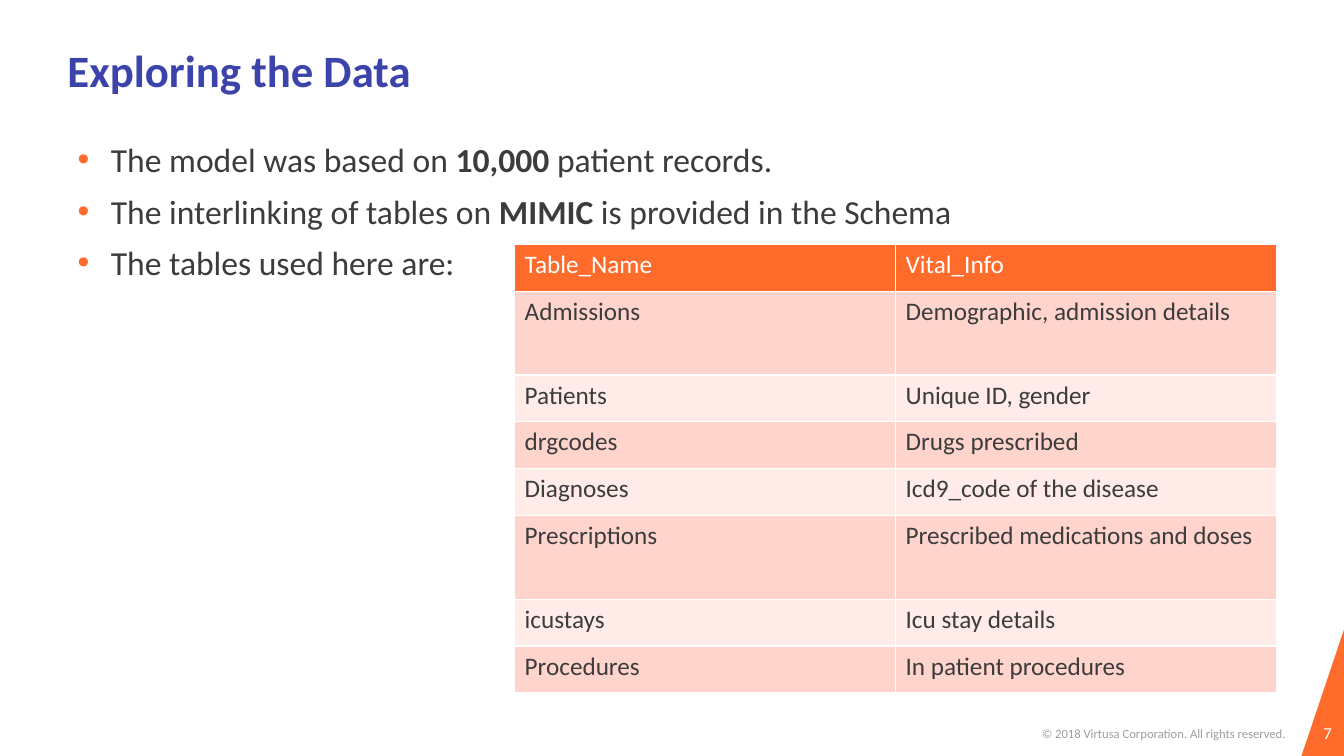
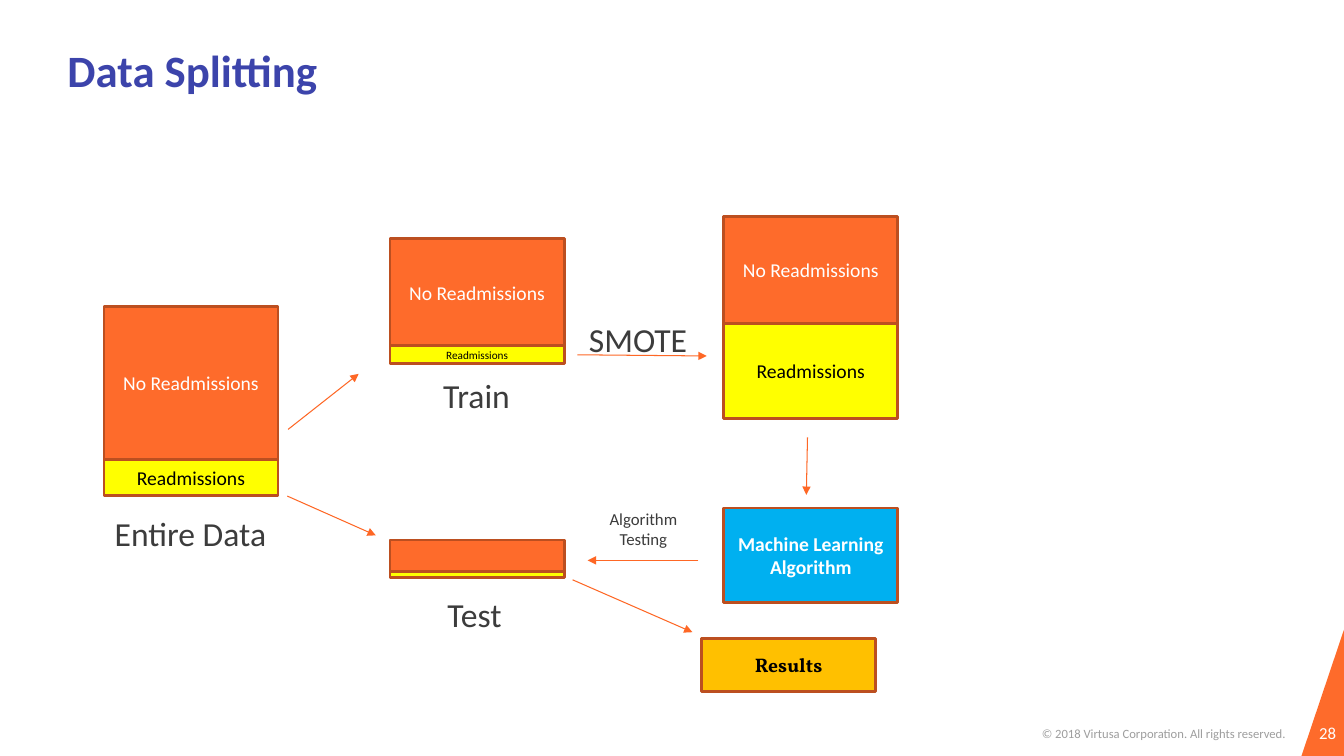
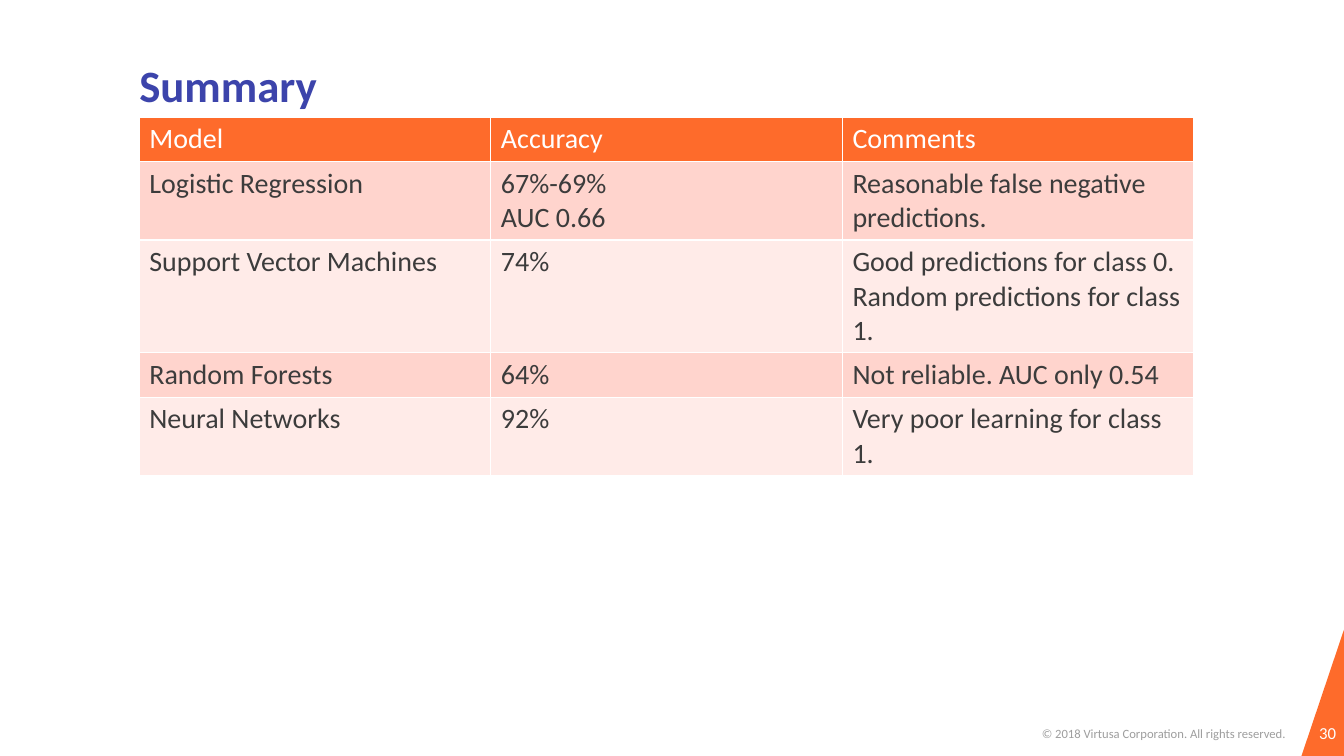
from pptx import Presentation
from pptx.dml.color import RGBColor
from pptx.enum.shapes import MSO_CONNECTOR, MSO_SHAPE
from pptx.enum.text import MSO_ANCHOR, MSO_AUTO_SIZE, PP_ALIGN
from pptx.oxml.ns import qn
from pptx.util import Cm, Pt
from lxml.etree import SubElement

COLORS = {
    "title": "3C44AB", "text": "3C3C3C", "footer": "9E9E9E",
    "white": "FFFFFF", "black": "000000",
    "accent": "FE6B2B", "arrow": "FE6725", "outline": "BC4F20",
    "band_dark": "FFD4CD", "band_light": "FFEBE8",
    "yellow": "FFFF00", "blue": "00B0F0", "amber": "FFC000",
}
FONT = "Calibri"
SLIDE_W, SLIDE_H = 33.87, 19.05
TITLE_ONLY, TITLE_AND_BODY = 5, 1
TITLE_AREA = (1.7, 1.07, 30.48, 1.45)
COPYRIGHT = "© 2018 Virtusa Corporation. All rights reserved."

# Each bullet is a list of (text, bold) runs.
DATA_POINTS = [
    [("The model was based on ", False), ("10,000", True), (" patient records.", False)],
    [("The interlinking of tables on ", False), ("MIMIC", True),
     (" is provided in the Schema", False)],
    [("The tables used here are:", False)],
]
SOURCE_TABLES = [
    ("Table_Name", "Vital_Info"),
    ("Admissions", "Demographic, admission details"),
    ("Patients", "Unique ID, gender"),
    ("drgcodes", "Drugs prescribed"),
    ("Diagnoses", "Icd9_code of the disease"),
    ("Prescriptions", "Prescribed medications and doses"),
    ("icustays", "Icu stay details"),
    ("Procedures", "In patient procedures"),
]
SOURCE_ROW_HEIGHTS = [1.18, 2.11, 1.18, 1.18, 1.18, 2.11, 1.18, 1.18]

MODEL_RESULTS = [
    ("Model", "Accuracy", "Comments"),
    ("Logistic Regression", "67%-69%\nAUC 0.66", "Reasonable false negative predictions."),
    ("Support Vector Machines", "74%",
     "Good predictions for class 0. Random predictions for class 1."),
    ("Random Forests", "64%", "Not reliable. AUC only 0.54"),
    ("Neural Networks", "92%", "Very poor learning for class 1."),
]
RESULT_ROW_HEIGHTS = [1.12, 1.98, 2.84, 1.12, 1.98]

BOX_W = 4.39
# left, top, height without readmissions, height with, text sizes (None: unlabelled)
DATA_SETS = [
    (2.62, 7.72, 3.87, 0.89, (14, 14)),
    (9.83, 6.02, 2.69, 0.46, (14, 8)),
    (9.83, 13.61, 0.79, 0.15, None),
    (18.24, 5.46, 2.69, 2.39, (14, 14)),
]
# text, left, top, height, fill, text colour, font
STEPS = [
    ("Machine Learning Algorithm", 18.24, 12.8, 2.39, "blue", "white", FONT),
    ("Results", 17.68, 16.1, 1.32, "amber", "black", "Vollkorn"),
]
# start x, start y, end x, end y
ARROWS = [
    (7.26, 10.82, 9.04, 9.42),
    (7.24, 12.5, 9.47, 13.49),
    (14.55, 8.94, 17.81, 8.97),
    (20.35, 11.02, 20.32, 12.47),
    (17.6, 14.12, 14.81, 14.12),
    (14.43, 14.61, 17.45, 15.93),
]
# text, left, top, width, size
LABELS = [
    ("Entire Data", 0.99, 12.8, 7.62, 24),
    ("Train", 8.2, 9.32, 7.62, 24),
    ("Test", 8.15, 14.83, 7.62, 24),
    ("SMOTE", 12.27, 7.92, 7.62, 24),
    ("Algorithm Testing", 14.83, 12.7, 2.77, 12),
]


def rgb(name):
    return RGBColor.from_string(COLORS[name])


def cm(values):
    return [Cm(value) for value in values]


def add_run(paragraph, text, size, color, bold=False, font=FONT):
    run = paragraph.add_run()
    run.text = text
    run.font.size = Pt(size)
    run.font.name = font
    run.font.bold = bold
    run.font.color.rgb = rgb(color)


def place(placeholder, area):
    placeholder.left, placeholder.top, placeholder.width, placeholder.height = cm(area)
    frame = placeholder.text_frame
    frame.auto_size = MSO_AUTO_SIZE.NONE
    frame.vertical_anchor = MSO_ANCHOR.TOP
    return frame


def clear_margins(frame):
    frame.margin_left = frame.margin_right = frame.margin_top = frame.margin_bottom = 0


def add_label(slide, text, area, size, color="text", margins=True):
    frame = slide.shapes.add_textbox(*cm(area)).text_frame
    frame.word_wrap = True
    if not margins:
        clear_margins(frame)
    paragraph = frame.paragraphs[0]
    paragraph.alignment = PP_ALIGN.CENTER
    add_run(paragraph, text, size, color)


def add_slide(prs, layout, title, number, title_area=TITLE_AREA):
    """Add a slide with the shared title style, corner and footer."""
    slide = prs.slides.add_slide(prs.slide_layouts[layout])
    corner_w, corner_h = 1.07, 3.18
    corner = slide.shapes.add_shape(
        MSO_SHAPE.RIGHT_TRIANGLE,
        *cm((SLIDE_W - corner_w, SLIDE_H - corner_h, corner_w, corner_h)))
    corner.shadow.inherit = False
    corner.fill.solid()
    corner.fill.fore_color.rgb = rgb("accent")
    corner.line.fill.background()
    corner._element.spPr.find(qn("a:xfrm")).set("flipH", "1")
    add_label(slide, str(number), (33.05, 18.21, 0.82, 0.5), 12, "white", margins=False)
    add_label(slide, COPYRIGHT, (25.63, 18.16, 7.39, 0.64), 9, "footer")

    frame = place(slide.shapes.title, title_area)
    clear_margins(frame)
    paragraph = frame.paragraphs[0]
    paragraph.alignment = PP_ALIGN.LEFT
    add_run(paragraph, title, 32, "title", bold=True)
    return slide


def add_bullets(placeholder, area, points):
    frame = place(placeholder, area)
    for index, point in enumerate(points):
        paragraph = frame.add_paragraph() if index else frame.paragraphs[0]
        properties = paragraph._p.get_or_add_pPr()
        properties.set("marL", str(Cm(0.84)))
        properties.set("indent", str(-Cm(0.84)))
        bullet_color = SubElement(properties, qn("a:buClr"))
        SubElement(bullet_color, qn("a:srgbClr"), val=COLORS["accent"])
        SubElement(properties, qn("a:buFont"), typeface="Arial")
        SubElement(properties, qn("a:buChar"), char="•")
        paragraph.space_before = Pt(8 if index else 0)
        for text, bold in point:
            add_run(paragraph, text, 24, "text", bold)


def set_borders(cell):
    properties = cell._tc.get_or_add_tcPr()
    for side in ("lnL", "lnR", "lnT", "lnB"):
        border = SubElement(properties, qn(f"a:{side}"), w=str(Pt(1)))
        fill = SubElement(border, qn("a:solidFill"))
        SubElement(fill, qn("a:srgbClr"), val=COLORS["white"])


def add_banded_table(slide, rows, left, top, column_w, row_heights, size):
    columns = len(rows[0])
    table = slide.shapes.add_table(
        len(rows), columns,
        *cm((left, top, column_w * columns, sum(row_heights)))).table
    for column in table.columns:
        column.width = Cm(column_w)
    for r, (texts, height) in enumerate(zip(rows, row_heights)):
        table.rows[r].height = Cm(height)
        band = "accent" if r == 0 else "band_dark" if r % 2 else "band_light"
        for c, text in enumerate(texts):
            cell = table.cell(r, c)
            set_borders(cell)
            cell.fill.solid()
            cell.fill.fore_color.rgb = rgb(band)
            frame = cell.text_frame
            for index, line in enumerate(text.split("\n")):
                paragraph = frame.add_paragraph() if index else frame.paragraphs[0]
                add_run(paragraph, line, size, "text" if r else "white")


def add_box(slide, left, top, height, fill):
    box = slide.shapes.add_shape(MSO_SHAPE.RECTANGLE, *cm((left, top, BOX_W, height)))
    box.shadow.inherit = False
    box.fill.solid()
    box.fill.fore_color.rgb = rgb(fill)
    box.line.color.rgb = rgb("outline")
    box.line.width = Pt(2)
    return box


def label_box(box, text, size, color, bold=False, font=FONT):
    frame = box.text_frame
    frame.word_wrap = True
    frame.vertical_anchor = MSO_ANCHOR.MIDDLE
    paragraph = frame.paragraphs[0]
    paragraph.alignment = PP_ALIGN.CENTER
    add_run(paragraph, text, size, color, bold, font)


def add_data_set(slide, left, top, without_h, with_h, sizes):
    """Stack the two classes of one data set."""
    without_box = add_box(slide, left, top, without_h, "accent")
    with_box = add_box(slide, left, top + without_h, with_h, "yellow")
    if sizes:
        label_box(without_box, "No Readmissions", sizes[0], "white")
        label_box(with_box, "Readmissions", sizes[1], "black")


def add_arrow(slide, ends):
    arrow = slide.shapes.add_connector(MSO_CONNECTOR.STRAIGHT, *cm(ends))
    arrow.line.color.rgb = rgb("arrow")
    arrow.line.width = Pt(0.75)
    SubElement(arrow.line._get_or_add_ln(), qn("a:tailEnd"), type="triangle")
    SubElement(arrow._element.spPr, qn("a:effectLst"))


def build_exploring(prs):
    slide = add_slide(prs, TITLE_AND_BODY, "Exploring the Data", 7)
    add_bullets(slide.placeholders[1], (1.7, 3.38, 30.48, 12.57), DATA_POINTS)
    add_banded_table(slide, SOURCE_TABLES, 12.97, 6.16, 9.6, SOURCE_ROW_HEIGHTS, 18)


def build_splitting(prs):
    slide = add_slide(prs, TITLE_ONLY, "Data Splitting", 28)
    for data_set in DATA_SETS:
        add_data_set(slide, *data_set)
    for text, left, top, height, fill, color, font in STEPS:
        step = add_box(slide, left, top, height, fill)
        label_box(step, text, 14, color, bold=True, font=font)
    for ends in ARROWS:
        add_arrow(slide, ends)
    for text, left, top, width, size in LABELS:
        add_label(slide, text, (left, top, width, 1.02), size)


def build_summary(prs):
    slide = add_slide(prs, TITLE_ONLY, "Summary", 30, (3.51, 1.45, 26.92, 1.12))
    add_banded_table(slide, MODEL_RESULTS, 3.51, 2.95, 8.86, RESULT_ROW_HEIGHTS, 20)


def main():
    prs = Presentation()
    prs.slide_width, prs.slide_height = Cm(SLIDE_W), Cm(SLIDE_H)
    build_exploring(prs)
    build_splitting(prs)
    build_summary(prs)
    prs.save("out.pptx")


if __name__ == "__main__":
    main()
